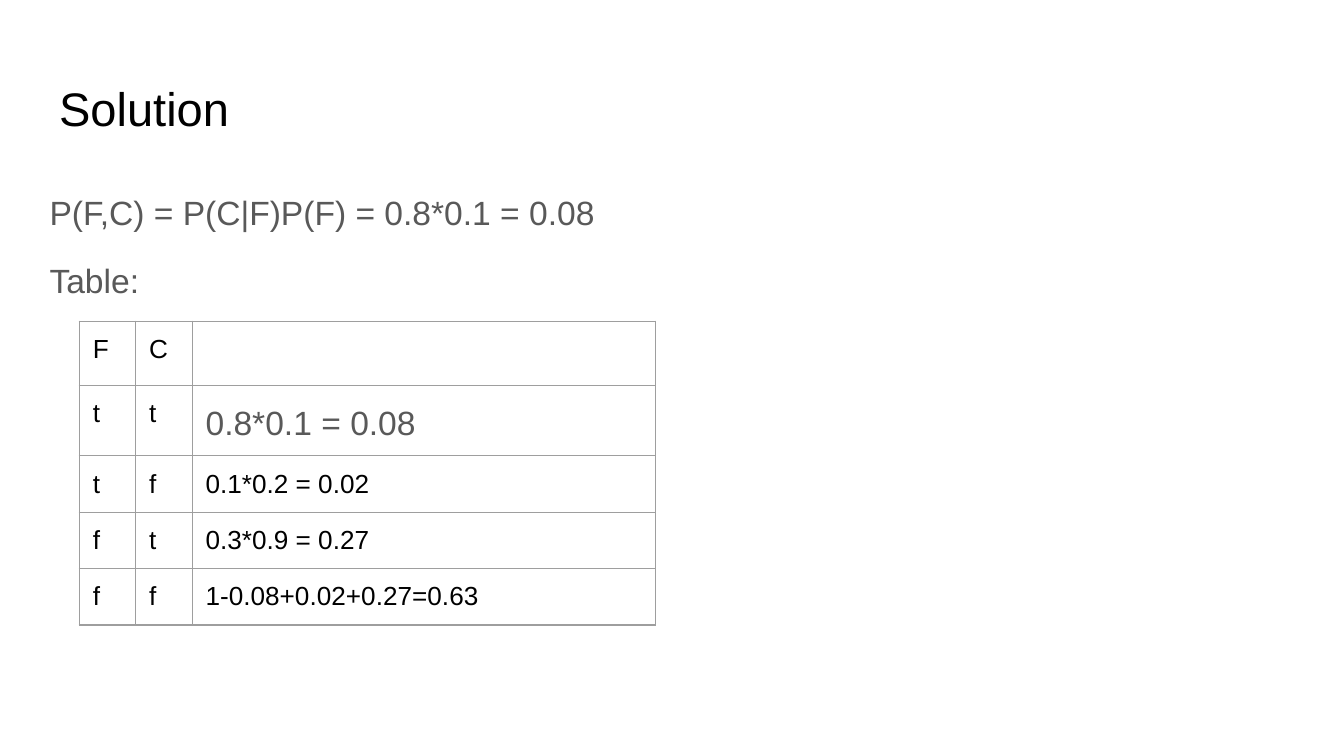
from pptx import Presentation
from pptx.dml.color import RGBColor
from pptx.enum.text import MSO_ANCHOR as Anchor, MSO_AUTO_SIZE as Fit, PP_ALIGN as Align
from pptx.oxml import parse_xml
from pptx.oxml.ns import nsdecls
from pptx.util import Inches, Pt

BLACK = RGBColor(0x00, 0x00, 0x00)
GRAY = RGBColor(0x59, 0x59, 0x59)
RULE = RGBColor(0x9E, 0x9E, 0x9E)
PAD = Inches(0.1)
INSETS = dict.fromkeys(("margin_left", "margin_top", "margin_right", "margin_bottom"), PAD)
FRAME = INSETS | {"word_wrap": True, "auto_size": Fit.NONE, "vertical_anchor": Anchor.TOP}
CELL = INSETS | {"vertical_anchor": Anchor.TOP}

LINES = ["P(F,C) = P(C|F)P(F) = 0.8*0.1 = 0.08", "Table:"]
ROWS = [
    ("F", "C", ""),
    ("t", "t", "0.8*0.1 = 0.08"),
    ("t", "f", "0.1*0.2 = 0.02"),
    ("f", "t", "0.3*0.9 = 0.27"),
    ("f", "f", "1-0.08+0.02+0.27=0.63"),
]
WIDTHS = [0.42, 0.42, 3.45]
HEIGHTS = [0.48, 0.52, 0.42, 0.42, 0.42]
MAIN = (1, 2)  # the cell that repeats the result of the formula


def apply(obj, values):
    for name, value in values.items():
        setattr(obj, name, value)


def write(para, text, size, color, **form):
    apply(para, {"alignment": Align.LEFT} | form)
    run = para.add_run()
    run.text = text
    apply(run.font, {"name": "Arial", "size": Pt(size), "bold": False})
    run.font.color.rgb = color


def add_title(slide, left, top, width, height):
    title = slide.shapes.title
    apply(title, {"left": left, "top": top, "width": width, "height": height})
    apply(title.text_frame, FRAME)
    write(title.text_frame.paragraphs[0], "Solution", 25.2, BLACK)


def add_body(slide, left, top, width, height):
    frame = slide.shapes.add_textbox(left, top, width, height).text_frame
    apply(frame, FRAME)
    for i, line in enumerate(LINES):
        para = frame.add_paragraph() if i else frame.paragraphs[0]
        write(para, line, 18, GRAY, line_spacing=1.15, space_before=Pt(12 if i else 0))


def add_rules(cell):
    """Draw a thin line on all four sides of the cell."""
    props = cell._tc.get_or_add_tcPr()
    for i, side in enumerate("LRTB"):
        props.insert(i, parse_xml(
            f'<a:ln{side} {nsdecls("a")} w="{Pt(0.75)}"><a:solidFill>'
            f'<a:srgbClr val="{RULE}"/></a:solidFill></a:ln{side}>'))


def add_grid(slide, left, top, width, height):
    grid = slide.shapes.add_table(len(ROWS), len(WIDTHS), left, top, width, height).table
    apply(grid, {"first_row": False, "horz_banding": False})
    for col, size in zip(grid.columns, WIDTHS):
        col.width = Inches(size)
    for row, size in zip(grid.rows, HEIGHTS):
        row.height = Inches(size)
    for r, row in enumerate(ROWS):
        for c, text in enumerate(row):
            cell = grid.cell(r, c)
            apply(cell, CELL)
            cell.fill.background()
            add_rules(cell)
            para = cell.text_frame.paragraphs[0]
            if (r, c) == MAIN:
                write(para, text, 18, GRAY, line_spacing=1.15, space_after=Pt(12))
            elif text:
                write(para, text, 14, BLACK)
            else:  # keeps the empty cell from stretching its row
                para._p.append(parse_xml(f'<a:endParaRPr {nsdecls("a")} sz="1400"/>'))


def main():
    deck = Presentation()
    wide = Inches(10)
    apply(deck, {"slide_width": wide, "slide_height": wide * 9 // 16})
    slide = deck.slides.add_slide(deck.slide_layouts[5])
    add_title(slide, *map(Inches, (0.34, 0.49, 9.32, 0.63)))
    add_body(slide, *map(Inches, (0.27, 1.28, 9.32, 3.74)))
    add_grid(slide, *map(Inches, (0.59, 2.39, sum(WIDTHS), sum(HEIGHTS))))
    deck.save("out.pptx")


if __name__ == "__main__":
    main()
